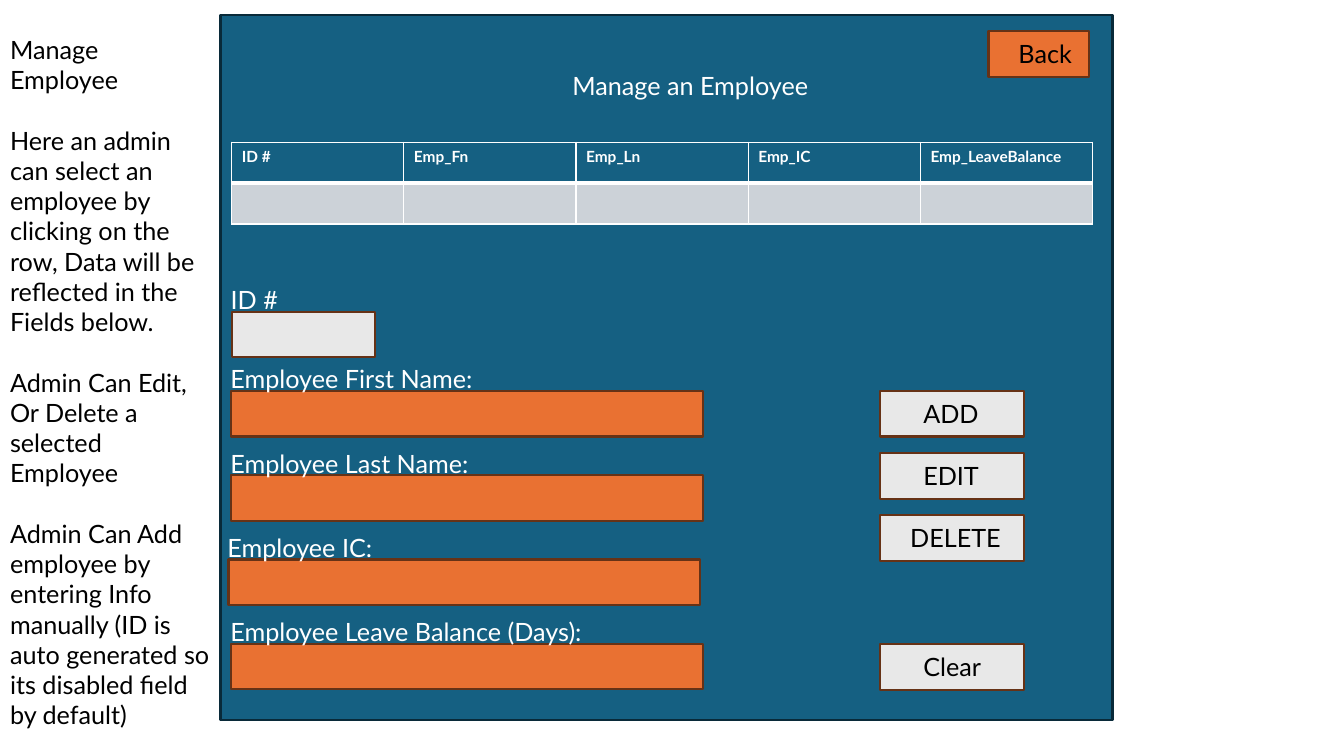
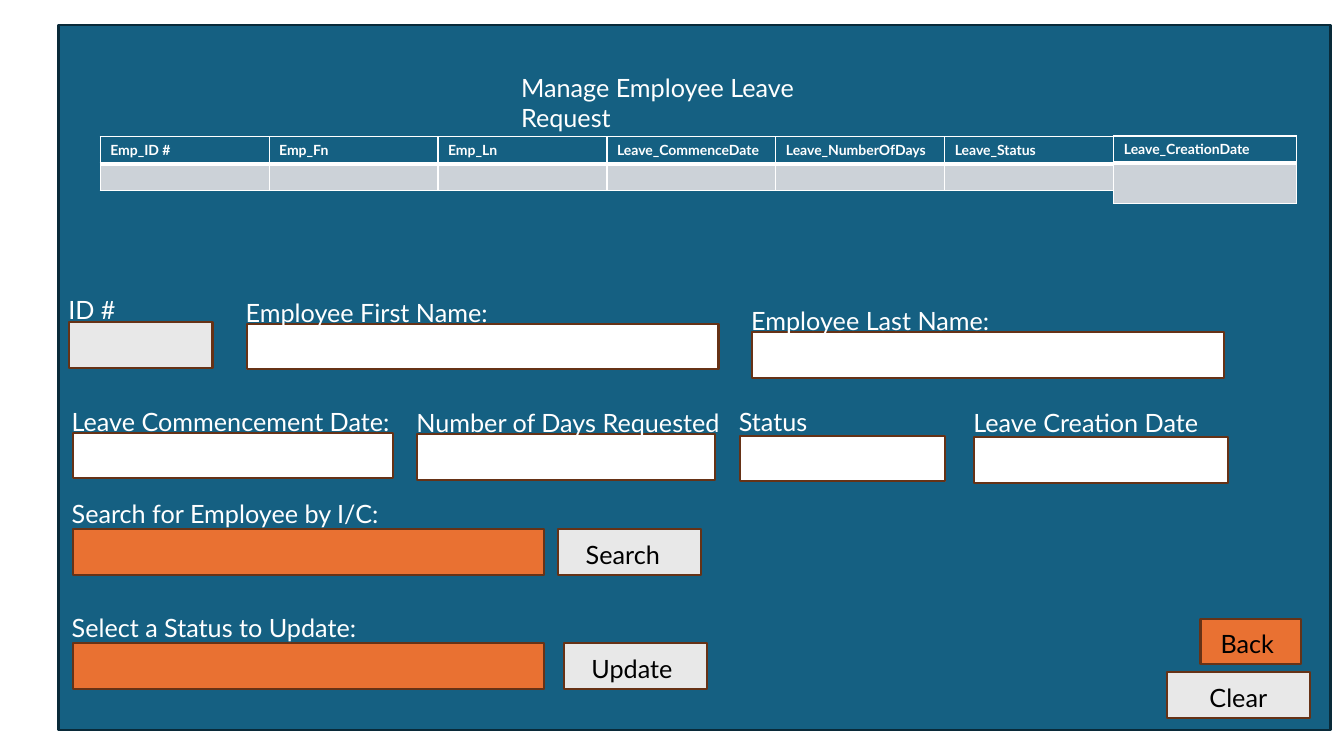
from lxml import etree
from pptx import Presentation
from pptx.dml.color import RGBColor
from pptx.enum import shapes, text
from pptx.oxml.ns import qn
from pptx.util import Pt

BLUE, NAVY = "156082", "092A39"
ORANGE, BROWN = "E97132", "663216"
GREY, MIST = "E8E8E8", "CCD2D8"
WHITE, BLACK = "FFFFFF", "000000"
FONT = "Lato"
HIGH = 32.6  # height of every field and button
WIDE, KEY, BACK = 337, 102.4, 72  # widths: long field, button, back button
hue = RGBColor.from_string

# Field: label, x, y, width, rise of the label above it, fill
# Button: words, x, y, width, left inset, fill
# Table: x, y, column width, row heights, text size, heads
names = ["Employee First Name:", "Employee Last Name:", "Employee IC:",
         "Employee Leave Balance (Days):"]
lefts = [165.3, 165.3, 163.2, 165.3]
screens = [
    dict(
        layout=1, title="Manage an Employee",
        head=(401.6, 46.4, 218.9, 28.8), panel=(157.5, 10.6, 637.2, 504),
        fields=[("ID #", 165.5, 222.7, KEY, 23.4, GREY)] + [
            (name, x, 279.2 + 60.24 * i, WIDE, 23, ORANGE)
            for i, (name, x) in enumerate(zip(names, lefts))],
        keys=[(word, 628.8, 279.2 + 44.4 * i, KEY, inset, GREY)
              for i, (word, inset) in enumerate(
                  [("ADD", 30.7), ("EDIT", 30.7), ("DELETE", 21.4)])] + [
            ("Clear", 628.8, 460.1, KEY, 30.7, GREY),
            ("Back", 706.1, 22.3, BACK, 21.4, ORANGE)],
        drop=5,
        tables=[(165.5, 101.6, 123, (29.2, 29.2), 11,
                 ["ID #", "Emp_Fn", "Emp_Ln", "Emp_IC", "Emp_LeaveBalance"])],
        notes=["Manage Employee",
               "Here an admin can select an employee by clicking on the row, "
               "Data will be reflected in the Fields below.",
               "Admin Can Edit, Or Delete a selected Employee",
               "Admin Can Add employee by entering Info manually (ID is auto "
               "generated so its disabled field by default)"]),
    dict(
        layout=5, title="Manage Employee Leave Request",
        head=(365, 48.2, 273.6, 28.8), panel=(41.8, 17.8, 908.6, 504),
        fields=[("ID #", 49.5, 230.2, KEY, 23.6, GREY),
                ("Employee First Name:", 176.2, 231.3, WIDE, 22.5, WHITE),
                ("Employee Last Name:", 537.3, 237.4, WIDE, 22.8, WHITE),
                ("Leave Commencement Date:", 51.9, 309.1, 229, 22.5, WHITE),
                ("Number of Days Requested", 298.1, 310.3, 212.4, 23, WHITE),
                ("Status", 528.5, 311.3, 146.9, 24.8, WHITE),
                ("Leave Creation Date", 696, 312.3, 181.4, 25, WHITE),
                ("Search for Employee by I/C:", 51.9, 378, WIDE, 25.5, ORANGE),
                ("Select a Status to Update:", 51.9, 459.4, WIDE, 25.9, ORANGE)],
        keys=[("Search", 398.7, 378, KEY, 19.7, GREY),
              ("Update", 402.7, 459.4, KEY, 19.8, GREY),
              ("Clear", 833.6, 480.2, KEY, 30.3, GREY),
              ("Back", 857.5, 441.9, BACK, 14.4, ORANGE)],
        drop=7,
        tables=[(71.6, 97.7, 120.66, (19.2, 19.2), 10,
                 ["Emp_ID #", "Emp_Fn", "Emp_Ln", "Leave_CommenceDate",
                  "Leave_NumberOfDays", "Leave_Status"]),
                (795.6, 97.2, 130.3, (19.2, 29.2), 10,
                 ["Leave_CreationDate"])],
        notes=[]),
]


def write(shape, words, color, left=7.2, top=3.6):
    """Put left-aligned words at the top of a shape."""
    frame = shape.text_frame
    frame.text = words
    frame.word_wrap = True
    frame.auto_size = text.MSO_AUTO_SIZE.NONE
    frame.vertical_anchor = text.MSO_ANCHOR.TOP
    frame.margin_left, frame.margin_top = Pt(left), Pt(top)
    frame.margin_right, frame.margin_bottom = Pt(7.2), 0
    for para in frame.paragraphs:
        para.alignment = text.PP_ALIGN.LEFT
        for run in para.runs:
            run.font.name, run.font.size = FONT, Pt(18)
            run.font.color.rgb = hue(color)


def box(slide, place, fill, edge):
    """Add a flat outlined rectangle."""
    rect = slide.shapes.add_shape(shapes.MSO_SHAPE.RECTANGLE, *map(Pt, place))
    rect.shadow.inherit = False
    rect.fill.solid()
    rect.fill.fore_color.rgb = hue(fill)
    rect.line.color.rgb = hue(edge)
    rect.line.width = Pt(1.5)
    return rect


deck = Presentation()
deck.slide_width, deck.slide_height = Pt(960), Pt(540)

for screen in screens:
    slide = deck.slides.add_slide(deck.slide_layouts[screen["layout"]])
    panel = box(slide, screen["panel"], BLUE, NAVY)
    slide.shapes._spTree.insert(2, panel._element)  # behind the title

    title = slide.shapes.title
    title.left, title.top, title.width, title.height = map(Pt, screen["head"])
    write(title, screen["title"], WHITE)

    if screen["notes"]:
        notes = slide.placeholders[1]
        notes.left, notes.top = Pt(0), Pt(20.9)
        notes.width, notes.height = Pt(158.4), Pt(487.4)
        write(notes, "\n".join(screen["notes"]), BLACK)
        for i, para in enumerate(notes.text_frame.paragraphs):
            para.space_before = Pt(21.6 if i else 0)
            props = para._p.get_or_add_pPr()
            props.set("marL", "0")
            props.set("indent", "0")
            etree.SubElement(props, qn("a:buNone"))

    for x, y, width, rows, size, heads in screen["tables"]:
        grid = slide.shapes.add_table(
            2, len(heads), Pt(x), Pt(y), Pt(width * len(heads)), Pt(sum(rows))).table
        for col in grid.columns:
            col.width = Pt(width)
        for r, high in enumerate(rows):
            grid.rows[r].height = Pt(high)
            for c, head in enumerate(heads):
                cell = grid.cell(r, c)
                cell.fill.solid()
                cell.fill.fore_color.rgb = hue(MIST if r else BLUE)
                para = cell.text_frame.paragraphs[0]
                if r:
                    end = etree.SubElement(para._p, qn("a:endParaRPr"))
                    end.set("sz", str(size * 100))
                else:
                    para.text = head
                    font = para.runs[0].font
                    font.name, font.size, font.bold = FONT, Pt(size), True
                    font.color.rgb = hue(WHITE)
                props = cell._tc.get_or_add_tcPr()
                for i, side in enumerate("LRTB"):
                    thick = 3 if side == ("T" if r else "B") else 1
                    line = etree.Element(qn("a:ln" + side), w=str(Pt(thick)))
                    paint = etree.SubElement(line, qn("a:solidFill"))
                    etree.SubElement(paint, qn("a:srgbClr"), val=WHITE)
                    props.insert(i, line)

    for label, x, y, width, rise, fill in screen["fields"]:
        box(slide, (x, y, width, HIGH), fill, BROWN)
        tag = slide.shapes.add_textbox(
            Pt(x - 7.8), Pt(y - rise), Pt(width + 30), Pt(28.8))
        write(tag, label, WHITE)

    for word, x, y, width, inset, fill in screen["keys"]:
        key = box(slide, (x, y, width, HIGH), fill, BROWN)
        write(key, word, BLACK, inset, screen["drop"])

deck.save("out.pptx")
